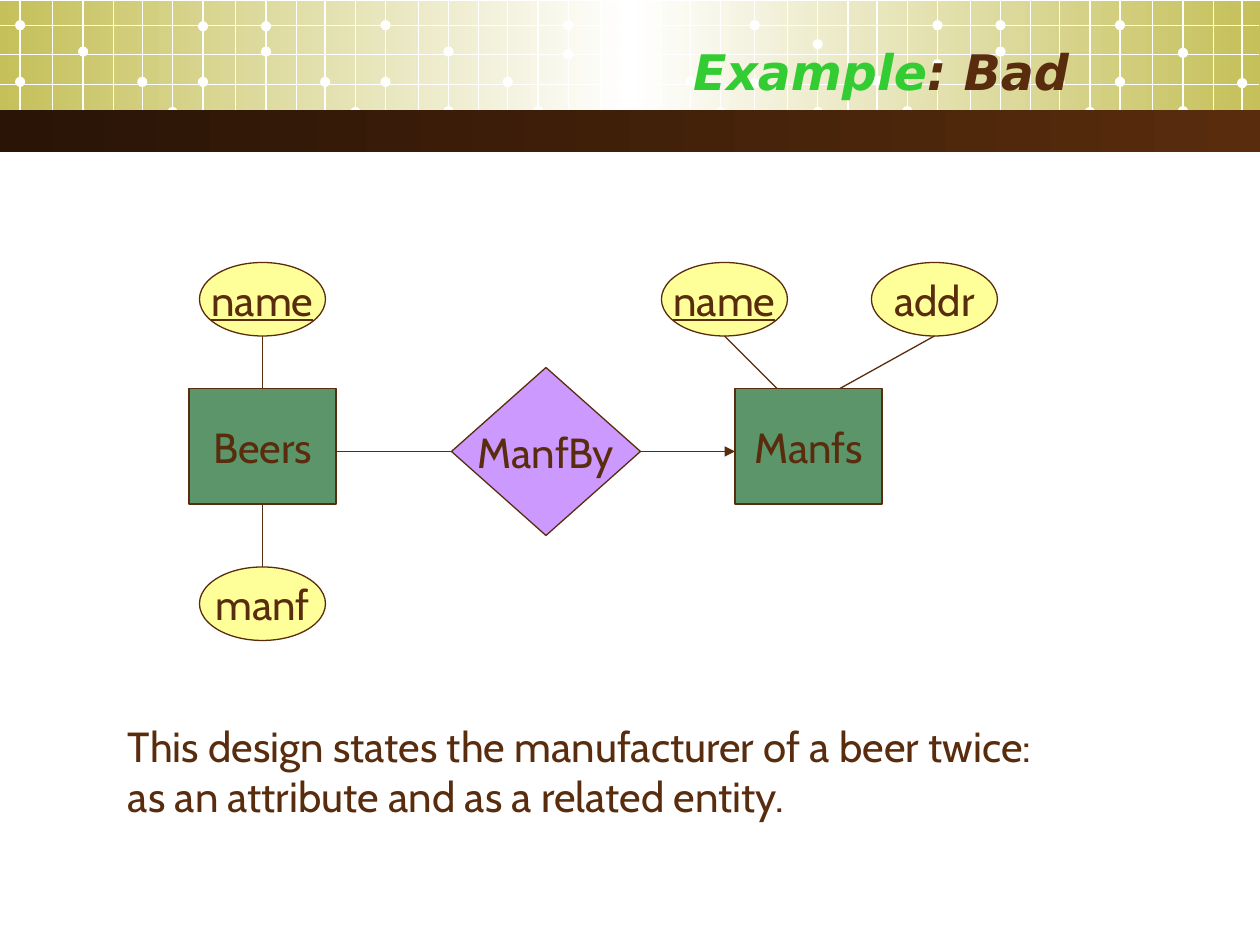
from lxml.etree import SubElement
from pptx import Presentation
from pptx.dml.color import RGBColor
from pptx.enum.shapes import MSO_CONNECTOR, MSO_SHAPE
from pptx.enum.text import MSO_ANCHOR, PP_ALIGN
from pptx.oxml.ns import qn
from pptx.util import Pt

COLORS = {
    "brown": "592C0D",
    "dark brown": "291406",
    "olive": "C5C059",
    "white": "FFFFFF",
    "green": "33CC33",
    "entity": "5B9569",
    "relationship": "CC99FF",
    "attribute": "FFFF99",
}
BODY_FONT = "Cabin"
TITLE_FONT = "DejaVu Sans"

TILE_STARTS = [11.5, 116, 220.3, 324.7, 431.3, 535.7, 640]
COLUMN_OFFSETS = [0, 18.7, 36, 53.3, 69.8, 87.1]
ROW_HEIGHTS = [14.4, 31, 48.2, 64]
DOT_OFFSETS = [0, 0, 36, 36, 69.8, 87.1]
DOT_HEIGHTS = [
    [46.8, 14.4, 29.5, 65.5, 46.8, 64],
    [46.8, 15, 29.5, 15, 46.8, 64],
    [46.8, 14.4, 29.5, 63.5, 46.8, 63.5],
    [31, 14.4, 30.2, 14.4, 46.8, 64],
    [47.5, 14.4, 25.2, 64, 46, 63.5],
    [36.7, 14.4, 29.5, 14.4, 46.8, 64],
    [46.8, 14.4, 30.2, 63.5, 47.5],
]
DOT_SIZE = 5.8


def color(name):
    return RGBColor.from_string(COLORS[name])


def add_figure(shapes, kind, left, top, width, height, fill=None, line=None):
    figure = shapes.add_shape(kind, Pt(left), Pt(top), Pt(width), Pt(height))
    figure.shadow.inherit = False
    if fill:
        figure.fill.solid()
        figure.fill.fore_color.rgb = color(fill)
    if line:
        figure.line.color.rgb = color(line)
        figure.line.width = Pt(0.75)
    else:
        figure.line.fill.background()
    return figure


def add_line(shapes, start, end, line="brown", arrow=False):
    connector = shapes.add_connector(
        MSO_CONNECTOR.STRAIGHT, *(Pt(value) for value in (*start, *end))
    )
    connector.line.color.rgb = color(line)
    connector.line.width = Pt(0.75)
    if arrow:
        outline = connector.element.spPr.find(qn("a:ln"))
        SubElement(outline, qn("a:tailEnd"), type="triangle")
    SubElement(connector.element.spPr, qn("a:effectLst"))


def add_gradient_band(shapes, top, height, names):
    band = add_figure(shapes, MSO_SHAPE.RECTANGLE, 0, top, 720, height)
    band.fill.gradient()
    band.fill.gradient_angle = 0
    stops = band.element.spPr.find(".//" + qn("a:gsLst"))
    for stop in list(stops):
        stops.remove(stop)
    for index, name in enumerate(names):
        position = str(100000 * index // (len(names) - 1))
        stop = SubElement(stops, qn("a:gs"), pos=position)
        SubElement(stop, qn("a:srgbClr"), val=COLORS[name])


def add_grid(page):
    grid = page.shapes.add_group_shape().shapes
    for start, heights in zip(TILE_STARTS, DOT_HEIGHTS):
        for offset in COLUMN_OFFSETS:
            if start + offset < 720:
                x = start + offset
                add_line(grid, (x, 0), (x, 79.2), "white")
        for offset, height in zip(DOT_OFFSETS, heights):
            add_figure(
                grid, MSO_SHAPE.OVAL, start + offset - DOT_SIZE / 2,
                height - DOT_SIZE / 2, DOT_SIZE, DOT_SIZE, "white",
            )
    for y in ROW_HEIGHTS:
        add_line(grid, (0, y), (719.3, y), "white")


def style_text(para, size=24, font=BODY_FONT):
    para.font.size = Pt(size)
    para.font.name = font
    para.font.color.rgb = color("brown")


def add_node(page, kind, text, left, top, width, height, fill, key=False):
    node = add_figure(page.shapes, kind, left, top, width, height, fill, "brown")
    frame = node.text_frame
    frame.word_wrap = False
    frame.vertical_anchor = MSO_ANCHOR.MIDDLE
    para = frame.paragraphs[0]
    para.text = text
    para.alignment = PP_ALIGN.CENTER
    style_text(para)
    if key:
        para.font.underline = True


def add_entity(page, text, left):
    add_node(page, MSO_SHAPE.RECTANGLE, text, left, 222, 84, 66, "entity")


def add_attribute(page, text, left, top, key=False):
    add_node(page, MSO_SHAPE.OVAL, text, left, top, 72, 42, "attribute", key)


def set_title(page, parts):
    title = page.shapes.title
    title.left, title.top = Pt(36), Pt(18)
    title.width, title.height = Pt(582), Pt(45)
    title.text_frame.vertical_anchor = MSO_ANCHOR.MIDDLE
    para = title.text_frame.paragraphs[0]
    para.alignment = PP_ALIGN.RIGHT
    style_text(para, 28, TITLE_FONT)
    para.font.bold = True
    para.font.italic = True
    for text, name in parts:
        span = para.add_run()
        span.text = text
        span.font.color.rgb = color(name)
    title.element.getparent().append(title.element)


def add_note(page, text):
    box = page.shapes.add_textbox(Pt(66), Pt(408), Pt(541.5), Pt(65))
    box.text_frame.word_wrap = True
    para = box.text_frame.paragraphs[0]
    para.text = text
    style_text(para)


def main():
    deck = Presentation()
    deck.slide_width, deck.slide_height = Pt(720), Pt(540)
    page = deck.slides.add_slide(deck.slide_layouts[5])

    add_gradient_band(page.shapes, 0.5, 73.5, ["olive", "white", "olive"])
    add_grid(page)
    add_gradient_band(page.shapes, 63, 24, ["dark brown", "brown"])
    set_title(page, [("Example", "green"), (": Bad", "brown")])

    add_entity(page, "Beers", 108)
    add_entity(page, "Manfs", 420)
    add_node(page, MSO_SHAPE.DIAMOND, "ManfBy", 258, 210, 108, 96, "relationship")
    add_attribute(page, "name", 114, 150, key=True)
    add_attribute(page, "manf", 114, 324)
    add_attribute(page, "name", 378, 150, key=True)
    add_attribute(page, "addr", 498, 150)

    for start, end in [
        ((258, 258), (192, 258)),
        ((150, 192), (150, 222)),
        ((150, 324), (150, 288)),
        ((414, 192), (444, 222)),
        ((534, 192), (480, 222)),
    ]:
        add_line(page.shapes, start, end)
    add_line(page.shapes, (366, 258), (420, 258), arrow=True)

    add_note(
        page,
        "This design states the manufacturer of a beer twice: "
        "as an attribute and as a related entity.",
    )
    deck.save("out.pptx")


if __name__ == "__main__":
    main()
